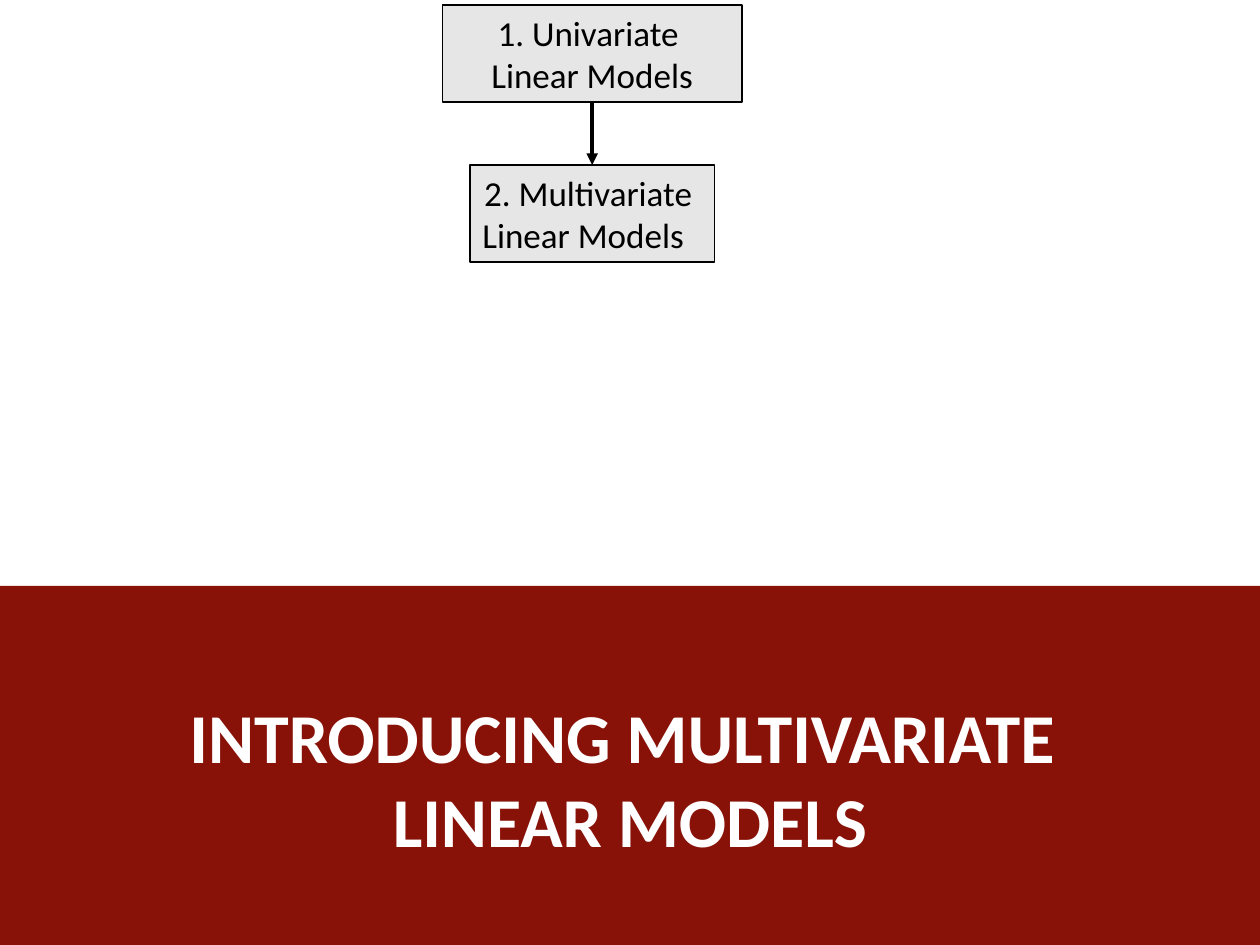
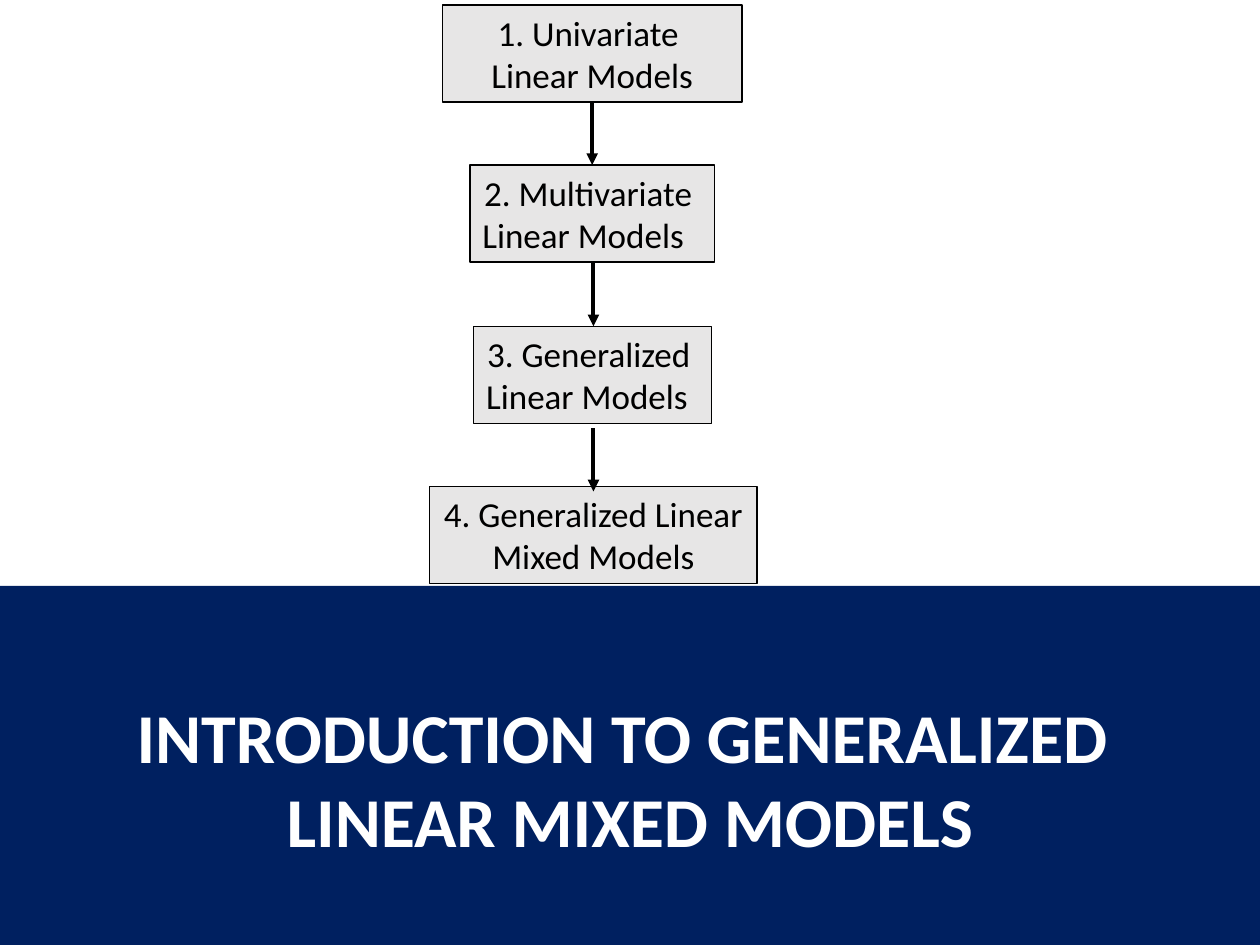
from lxml.etree import SubElement
from pptx import Presentation
from pptx.dml.color import RGBColor
from pptx.enum.shapes import MSO_CONNECTOR, MSO_SHAPE
from pptx.enum.text import MSO_ANCHOR, MSO_AUTO_SIZE, PP_ALIGN
from pptx.oxml.ns import qn
from pptx.util import Inches, Pt

FONT = "Calibri"
BLACK, WHITE, GREY = "000000", "FFFFFF", "E7E6E6"
RED, NAVY = "881108", "002060"
CENTER, LEFT = PP_ALIGN.CENTER, PP_ALIGN.LEFT
BOX_HEIGHT, ARROW_LENGTH = 0.77, 0.5

STEPS = [
    (3.51, 0.04, 2.38, ["1. Univariate ", "Linear Models"], CENTER, True),
    (3.73, 1.31, 1.94, ["2. Multivariate ", "Linear Models"], LEFT, False),
    (3.76, 2.59, 1.89, ["3. Generalized ", "Linear Models"], LEFT, False),
    (3.41, 3.86, 2.6, ["4. Generalized Linear", "Mixed Models"], CENTER, False),
]
ARROWS = [(4.7, 0.81), (4.71, 2.09), (4.71, 3.4)]


def color(value):
    return RGBColor.from_string(value)


class Deck:
    def __init__(self):
        self.prs = Presentation()
        self.prs.slide_width, self.prs.slide_height = Inches(10), Inches(7.5)
        self.s = None

    def add_slide(self):
        self.s = self.prs.slides.add_slide(self.prs.slide_layouts[5])

    def fill(self, sp, value):
        sp.fill.solid()
        sp.fill.fore_color.rgb = color(value)

    def set_text(self, tf, lines, size, value, bold=False, last=CENTER):
        tf.text = "\n".join(lines)
        for p in tf.paragraphs:
            p.alignment = CENTER
            p.font.name, p.font.size, p.font.bold = FONT, Pt(size), bold
            p.font.color.rgb = color(value)
        tf.paragraphs[-1].alignment = last

    def title_band(self, lines, value):
        sp = self.s.shapes.title
        sp.left, sp.top = Inches(0), Inches(4.65)
        sp.width, sp.height = Inches(10), Inches(3.04)
        self.fill(sp, value)
        tf = sp.text_frame
        tf.auto_size = MSO_AUTO_SIZE.NONE
        tf.vertical_anchor = MSO_ANCHOR.MIDDLE
        self.set_text(tf, lines, 40, WHITE, bold=True)

    def step(self, left, top, width, lines, last, wrap):
        sp = self.s.shapes.add_shape(
            MSO_SHAPE.RECTANGLE, Inches(left), Inches(top), Inches(width), Inches(BOX_HEIGHT))
        sp.shadow.inherit = False
        self.fill(sp, GREY)
        sp.line.color.rgb = color(BLACK)
        sp.line.width = Pt(0.75)
        tf = sp.text_frame
        tf.word_wrap = wrap
        tf.auto_size = MSO_AUTO_SIZE.SHAPE_TO_FIT_TEXT
        tf.vertical_anchor = MSO_ANCHOR.TOP
        self.set_text(tf, lines, 20, BLACK, last=last)

    def arrow(self, x, top):
        cn = self.s.shapes.add_connector(
            MSO_CONNECTOR.STRAIGHT, Inches(x), Inches(top), Inches(x), Inches(top + ARROW_LENGTH))
        cn.line.color.rgb = color(BLACK)
        cn.line.width = Pt(2.25)
        props = cn.element.spPr
        SubElement(props.find(qn("a:ln")), qn("a:tailEnd"), type="triangle")
        SubElement(props, qn("a:effectLst"))

    def section(self, title, value, count):
        self.add_slide()
        self.title_band(title, value)
        for step in STEPS[:count]:
            self.step(*step)
        for arrow in ARROWS[:count - 1]:
            self.arrow(*arrow)


def main():
    deck = Deck()
    deck.section(["INTRODUCING MULTIVARIATE ", "LINEAR MODELS"], RED, 2)
    deck.section(["INTRODUCTION TO GENERALIZED ", "LINEAR MIXED MODELS"], NAVY, 4)
    deck.prs.save("out.pptx")


if __name__ == "__main__":
    main()
